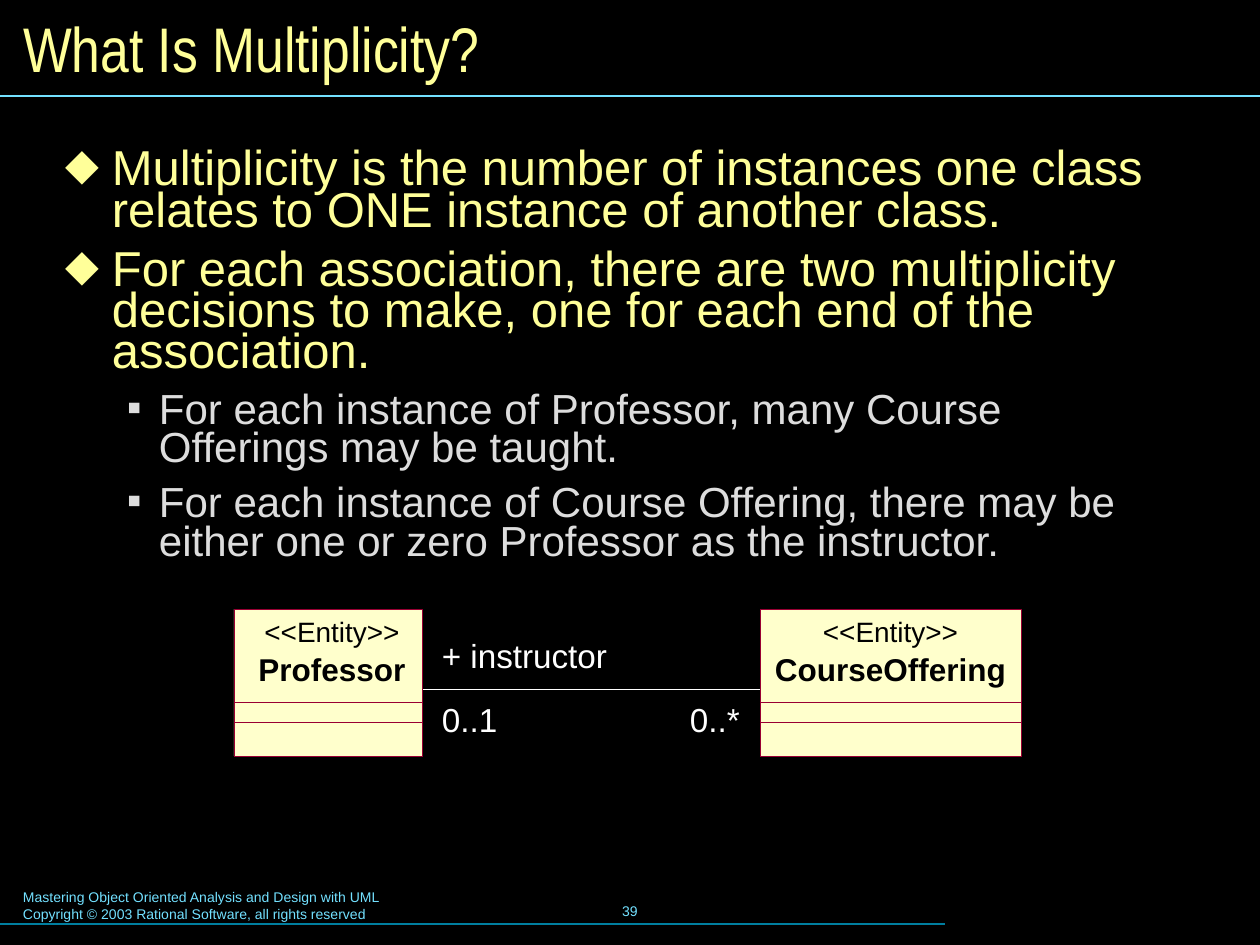
from dataclasses import dataclass

from lxml.etree import SubElement
from pptx import Presentation
from pptx.dml.color import RGBColor
from pptx.enum.shapes import MSO_CONNECTOR as Connector, MSO_SHAPE as Shape
from pptx.enum.text import MSO_ANCHOR as Anchor, PP_ALIGN as Align
from pptx.oxml.ns import qn
from pptx.util import Pt

PX = 914400 / 126
WIDTH, HEIGHT = 1260, 945


@dataclass(frozen=True)
class Theme:
    background: str = "000000"
    heading: str = "FFFF99"
    detail: str = "DDDDDD"
    accent: str = "73E1FF"
    footer_rule: str = "007E9F"
    association: str = "FFFFFF"
    class_fill: str = "FFFFCC"
    class_line: str = "990033"
    class_text: str = "000000"
    font: str = "Arial"
    title_font: str = "Arial Narrow"
    title_size: int = 36
    point_size: int = 28
    detail_size: int = 24
    role_size: int = 19
    name_size: int = 18
    stereotype_size: int = 16
    footer_size: int = 8
    rule_width: float = 0.75
    hairline: float = 0.25


THEME = Theme()

POINTS = [
    (0, "Multiplicity is the number of instances one class relates to ONE instance of another class."),
    (0, "For each association, there are two multiplicity decisions to make, "
        "one for each end of the association."),
    (1, "For each instance of Professor, many Course Offerings may be taught."),
    (1, "For each instance of Course Offering, there may be either one or zero "
        "Professor as the instructor."),
]


def emu(*lengths):
    return [round(length * PX) for length in lengths]


def rgb(color):
    return RGBColor.from_string(color)


def add_frame(slide, box, inset=(0, 0), anchor=Anchor.TOP):
    frame = slide.shapes.add_textbox(*emu(*box)).text_frame
    frame.word_wrap = True
    frame.vertical_anchor = anchor
    frame.margin_left = frame.margin_right = emu(inset[0])[0]
    frame.margin_top = frame.margin_bottom = emu(inset[1])[0]
    return frame


def add_run(paragraph, text, size, color, font=THEME.font, bold=False):
    run = paragraph.add_run()
    run.text = text
    run.font.size = Pt(size)
    run.font.name = font
    run.font.bold = bold
    run.font.color.rgb = rgb(color)


def add_line(slide, start, end, color, width):
    line = slide.shapes.add_connector(Connector.STRAIGHT, *emu(*start, *end))
    line.line.color.rgb = rgb(color)
    line.line.width = Pt(width)
    SubElement(line._element.spPr, qn("a:effectLst"))


def add_bullet(paragraph, char, color, indent, hanging):
    props = paragraph._p.get_or_add_pPr()
    left, hang = emu(indent, hanging)
    props.set("marL", str(left))
    props.set("indent", str(-hang))
    bullet_color = SubElement(props, qn("a:buClr"))
    SubElement(bullet_color, qn("a:srgbClr"), val=color)
    SubElement(props, qn("a:buFont"), typeface=THEME.font)
    SubElement(props, qn("a:buChar"), char=char)


def add_title(slide, box):
    left, top, width, height = box
    frame = add_frame(slide, (left + 10, top + 11, width - 20, height - 23), (13, 6), Anchor.MIDDLE)
    add_run(frame.paragraphs[0], "What Is Multiplicity?", THEME.title_size,
            THEME.heading, THEME.title_font)
    rule_y = top + height
    add_line(slide, (left, rule_y), (left + width, rule_y), THEME.accent, THEME.rule_width)


def add_points(slide, box):
    levels = [
        ("⬥", THEME.heading, THEME.point_size, 47, 47, 0.7, 10.5),
        ("▪", THEME.detail, THEME.detail_size, 94, 32, 0.77, 9),
    ]
    frame = add_frame(slide, box, (15, 8))
    for index, (level, text) in enumerate(POINTS):
        char, color, size, indent, hanging, line_spacing, gap = levels[level]
        paragraph = frame.add_paragraph() if index else frame.paragraphs[0]
        add_bullet(paragraph, char, color, indent, hanging)
        paragraph.level = level
        paragraph.line_spacing = line_spacing
        paragraph.space_before = Pt(gap if index else 0)
        add_run(paragraph, text, size, color)


def add_class(slide, box, name, label_shift=0):
    """Draw a UML class: a header with two labels above two empty compartments."""
    left, top, width, height = box
    for offset in (0, 93, 113):
        compartment = slide.shapes.add_shape(
            Shape.RECTANGLE, *emu(left, top + offset, width, height - offset))
        compartment.shadow.inherit = False
        compartment.line.color.rgb = rgb(THEME.class_line)
        compartment.line.width = Pt(THEME.hairline)
        if offset:
            compartment.fill.background()
        else:
            compartment.fill.solid()
            compartment.fill.fore_color.rgb = rgb(THEME.class_fill)

    labels = [("<<Entity>>", 6, 34, THEME.stereotype_size, False),
              (name, 41, 38, THEME.name_size, True)]
    for text, offset, label_height, size, bold in labels:
        frame = add_frame(slide, (left + label_shift, top + offset, width, label_height))
        frame.paragraphs[0].alignment = Align.CENTER
        add_run(frame.paragraphs[0], text, size, THEME.class_text, bold=bold)


def add_association(slide, box):
    """Join the two classes with a line carrying a role and both multiplicities."""
    left, top, width, height = box
    line_y = top + 80
    add_line(slide, (left + width, line_y), (left, line_y), THEME.association, THEME.hairline)
    labels = [("+ instructor", 20, 26, 200), ("0..1", 20, 90, 70), ("0..*", width - 70, 90, 65)]
    for text, x, y, label_width in labels:
        frame = add_frame(slide, (left + x, top + y, label_width, 40))
        add_run(frame.paragraphs[0], text, THEME.role_size, THEME.association)


def add_class_diagram(slide, box):
    left, top, width, height = box
    professor_width, offering_width = 188, 261
    offering_left = left + width - offering_width
    add_association(slide, (left + professor_width, top,
                            width - professor_width - offering_width, height))
    add_class(slide, (left, top, professor_width, height), "Professor", label_shift=4)
    add_class(slide, (offering_left, top, offering_width, height), "CourseOffering")


def add_footer(slide, box):
    left, top, width, height = box
    credit = add_frame(slide, (left + 10, top + 3, 643, 47), (13, 6))
    add_run(credit.paragraphs[0], "Mastering Object Oriented Analysis and Design with UML",
            THEME.footer_size, THEME.accent)
    add_run(credit.add_paragraph(), "Copyright © 2003 Rational Software, all rights reserved",
            THEME.footer_size, THEME.accent)
    number = add_frame(slide, (left + 430, top - 1, 400, 63), (13, 6), Anchor.MIDDLE)
    number.paragraphs[0].alignment = Align.CENTER
    add_run(number.paragraphs[0], "39", THEME.footer_size, THEME.accent)
    rule_y = top + 44
    add_line(slide, (left, rule_y), (left + width * 3 // 4, rule_y),
             THEME.footer_rule, THEME.rule_width)


def main():
    deck = Presentation()
    deck.slide_width, deck.slide_height = emu(WIDTH, HEIGHT)
    slide = deck.slides.add_slide(deck.slide_layouts[6])
    slide.background.fill.solid()
    slide.background.fill.fore_color.rgb = rgb(THEME.background)
    add_title(slide, (0, 0, WIDTH, 96))
    add_points(slide, (50, 145, 1134, 462))
    add_class_diagram(slide, (234, 609, 787, 147))
    add_footer(slide, (0, 880, WIDTH, 65))
    deck.save("out.pptx")


if __name__ == "__main__":
    main()
